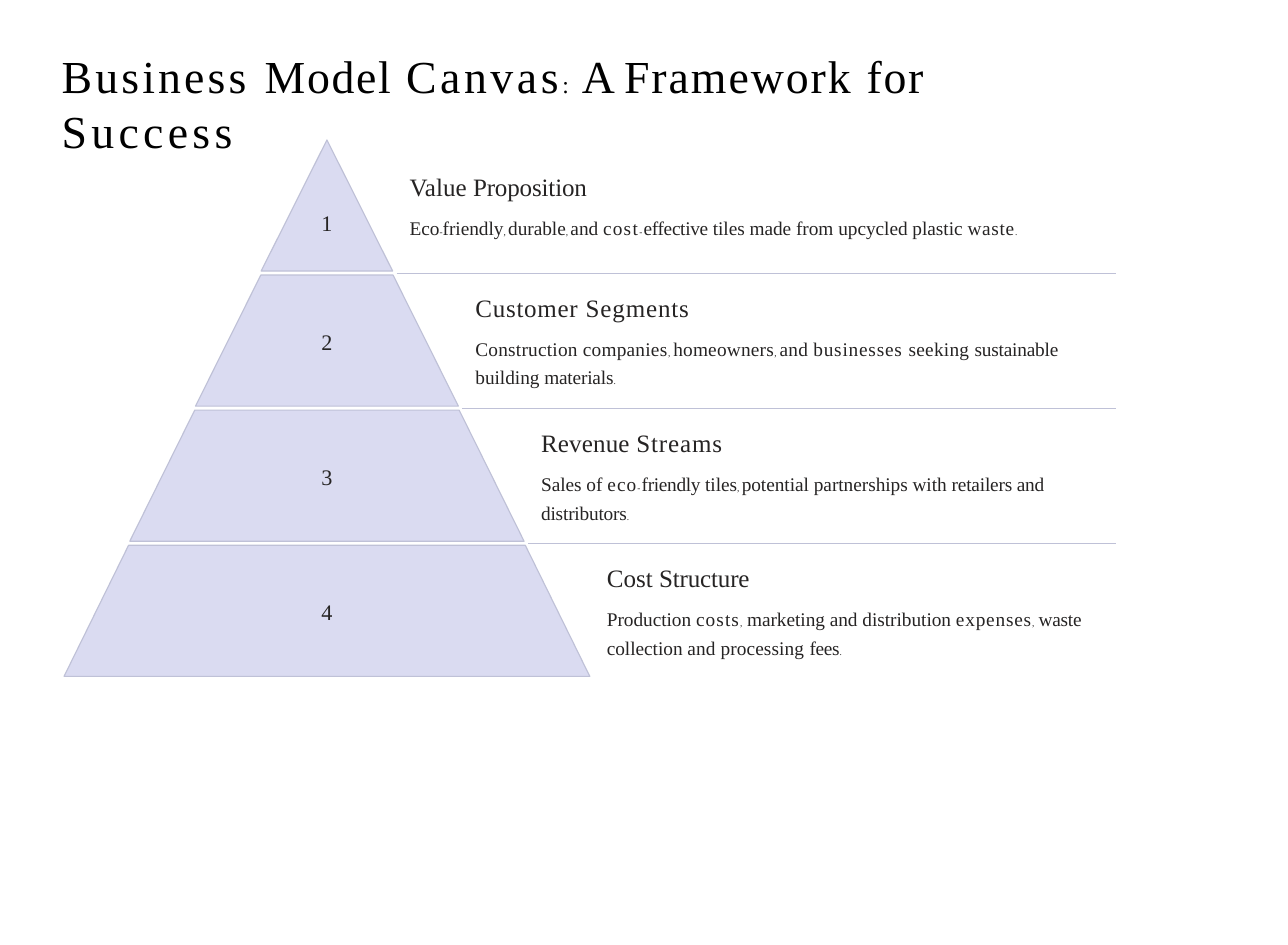
import dataclasses
import itertools

import pptx
import pptx.dml.color
import pptx.enum.shapes
import pptx.enum.text
import pptx.util
from lxml import etree
from pptx.util import Cm

ALIGN = pptx.enum.text.PP_ALIGN


@dataclasses.dataclass(frozen=True)
class Theme:
    """Colours, font and type sizes of the slide."""
    font: str = "Times New Roman"
    title_color: str = "000000"
    text_color: str = "262424"
    tier_color: str = "DADBF1"
    line_color: str = "BFC1D7"
    line_width: float = 0.78
    title_size: float = 32
    title_mark_size: float = 16.5
    heading_size: float = 17.5
    number_size: float = 15.5
    body_size: float = 13.5
    body_mark_size: float = 6.5


THEME = Theme()

TITLE = [("Business ", 2.2), ("Model ", 1.2), ("Canvas: ", 2.5), ("A ", 0),
         ("Framework ", 1.4), ("for ", 1.2), ("Success", 3)]

TIERS = [
    ([("Value ", 0), ("Proposition", -0.1)],
     [("Eco-friendly, durable, and ", 0), ("cost-", 0.9), ("effective ", -0.2),
      ("tiles made from upcycled plastic ", 0), ("waste.", 0.5)]),
    ([("Customer ", 0.5), ("Segments", 0.6)],
     [("Construction companies, homeowners, and ", 0.2), ("businesses ", 0.6),
      ("seeking ", 0.2), ("sustainable ", -0.1), ("building ", 0),
      ("materials.", -0.1)]),
    ([("Revenue ", 0.1), ("Streams", 0.6)],
     [("Sales of ", 0), ("eco-", 0.8), ("friendly ", -0.2),
      ("tiles, potential partnerships with ", 0), ("retailers ", -0.1),
      ("and ", -0.2), ("distributors.", -0.1)]),
    ([("Cost ", 0), ("Structure", -0.1)],
     [("Production ", 0), ("costs, ", 0.8), ("marketing and distribution ", 0),
      ("expenses, ", 0.6), ("waste ", -0.1), ("collection ", 0),
      ("and processing ", 0.1), ("fees.", -0.2)]),
]


def rgb(color):
    """Turn a hex string into a colour."""
    return pptx.dml.color.RGBColor.from_string(color)


def split_marks(text):
    """Split text into stretches of words and of punctuation marks."""
    pairs = zip(" " + text, text)
    flagged = [(letter, letter in ",.:-" or (letter == " " and before in ",:"))
               for before, letter in pairs]
    for is_mark, group in itertools.groupby(flagged, key=lambda item: item[1]):
        yield "".join(letter for letter, _ in group), is_mark


def write_text(paragraph, pieces, *, size, mark_size=None, color=THEME.text_color,
               align=ALIGN.LEFT, before=0, line_spacing=1.0):
    """Write letter-spaced pieces of text with the given format."""
    paragraph.alignment = align
    paragraph.space_before = pptx.util.Pt(before)
    paragraph.line_spacing = line_spacing
    for piece, spacing in pieces:
        for text, is_mark in split_marks(piece):
            run = paragraph.add_run()
            run.text = text
            run.font.name = THEME.font
            run.font.size = pptx.util.Pt(mark_size if is_mark and mark_size else size)
            run.font.color.rgb = rgb(color)
            run._r.get_or_add_rPr().set("spc", str(round(spacing * 100)))


def add_text_frame(slide, left, top, width, height):
    """Add a wrapping text box without insets and return its text frame."""
    frame = slide.shapes.add_textbox(left, top, width, height).text_frame
    frame.word_wrap = True
    frame.margin_left = frame.margin_right = frame.margin_top = frame.margin_bottom = 0
    return frame


def add_title(slide, left, top, width, height):
    """Place the slide title in its box."""
    frame = add_text_frame(slide, left, top, width, height)
    frame.margin_top = Cm(0.05)
    write_text(frame.paragraphs[0], TITLE, size=THEME.title_size,
               mark_size=THEME.title_mark_size, color=THEME.title_color, before=1.2)


def add_tier_shape(slide, center, top, height, top_half, bottom_half):
    """Draw one slice of the pyramid."""
    bottom = top + height
    builder = slide.shapes.build_freeform(center - top_half, top)
    builder.add_line_segments([(center + top_half, top), (center + bottom_half, bottom),
                               (center - bottom_half, bottom)], close=True)
    shape = builder.convert_to_shape()
    shape.shadow.inherit = False
    shape.fill.solid()
    shape.fill.fore_color.rgb = rgb(THEME.tier_color)
    shape.line.color.rgb = rgb(THEME.line_color)
    shape.line.width = pptx.util.Pt(THEME.line_width)


def add_divider(slide, left, right, top):
    """Draw the thin rule below a tier."""
    connector = slide.shapes.add_connector(
        pptx.enum.shapes.MSO_CONNECTOR.STRAIGHT, left, top, right, top)
    connector.line.color.rgb = rgb(THEME.line_color)
    connector.line.width = pptx.util.Pt(THEME.line_width)
    etree.SubElement(connector._element.spPr, pptx.oxml.ns.qn("a:effectLst"))


def add_pyramid(slide, left, top, width, height):
    """Place the numbered tiers, their texts and dividers in the box."""
    gap = Cm(0.1)
    pitch = (height + gap) // len(TIERS)
    tier_height = pitch - gap
    center = left + Cm(6.46)
    right = left + width
    for index, (heading, body) in enumerate(TIERS):
        is_peak = index == 0
        tier_top = top + index * pitch
        bottom_half = (index + 1) * Cm(1.62)
        edge = center + bottom_half
        add_tier_shape(slide, center, tier_top, tier_height,
                       index * Cm(1.63), bottom_half)

        number_top = tier_top + Cm(1.71 if is_peak else 1.3)
        number = add_text_frame(slide, center - Cm(0.22), number_top, Cm(0.44), Cm(0.7))
        write_text(number.paragraphs[0], [(str(index + 1), 0)],
                   size=THEME.number_size, align=ALIGN.CENTER)

        text_left = edge + Cm(0.42)
        text_top = tier_top + Cm(0.78 if is_peak else 0.43)
        frame = add_text_frame(slide, text_left, text_top, right - text_left, Cm(2.3))
        write_text(frame.paragraphs[0], heading, size=THEME.heading_size)
        write_text(frame.add_paragraph(), body, size=THEME.body_size,
                   mark_size=THEME.body_mark_size, before=6.5, line_spacing=1.23)

        if index < len(TIERS) - 1:
            add_divider(slide, edge + gap, right, tier_top + tier_height + gap // 2)


def main():
    """Build and save the slide."""
    presentation = pptx.Presentation()
    presentation.slide_width = Cm(31.75)
    presentation.slide_height = Cm(23.29)
    slide = presentation.slides.add_slide(presentation.slide_layouts[6])
    add_title(slide, Cm(1.52), Cm(1.12), Cm(25.4), Cm(1.42))
    add_pyramid(slide, Cm(1.6), Cm(3.45), Cm(25.92), Cm(13.22))
    presentation.save("out.pptx")


if __name__ == "__main__":
    main()
